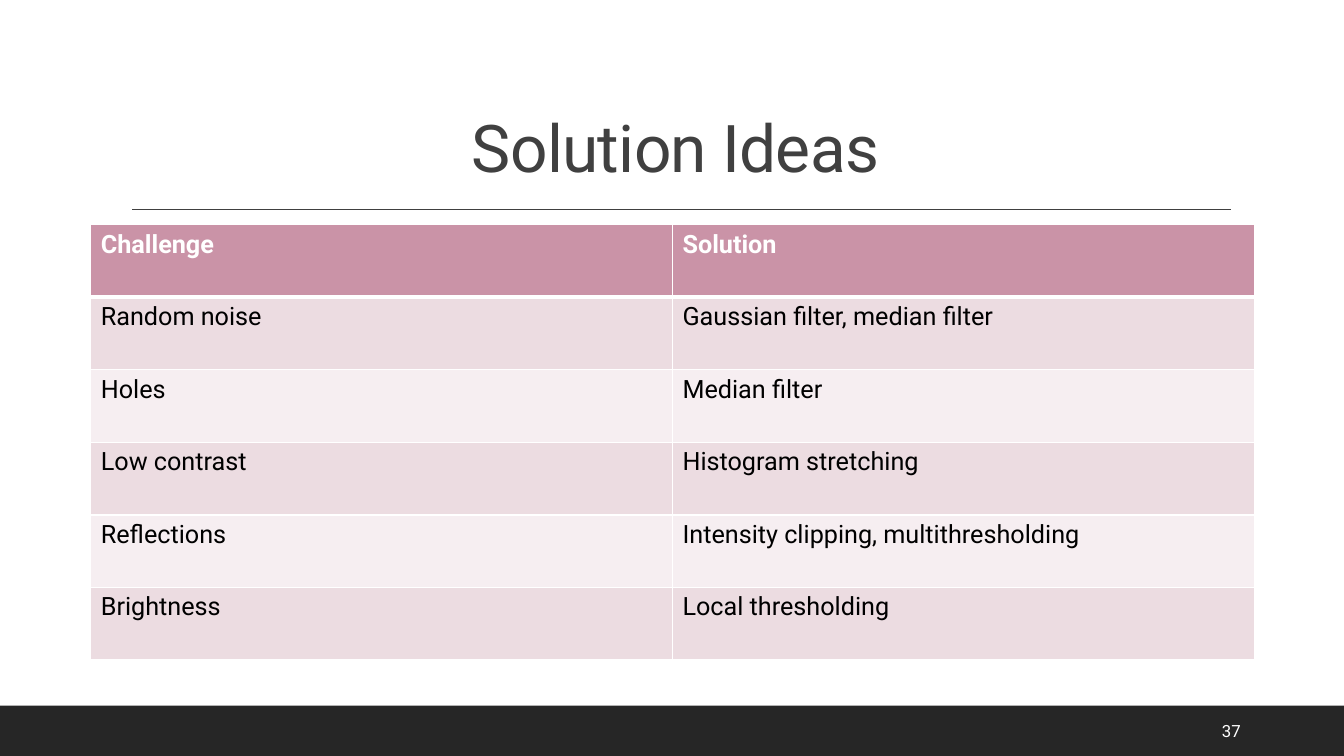
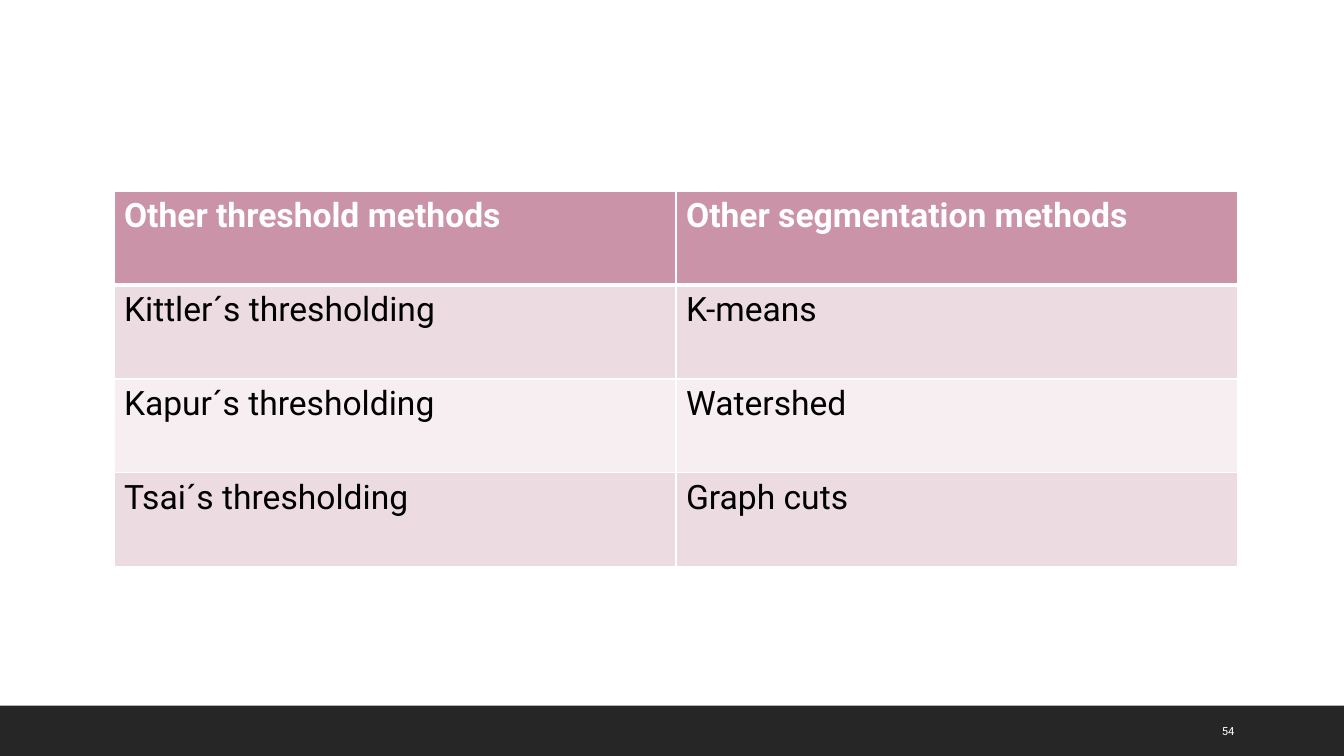
import dataclasses

import lxml.etree
import pptx
import pptx.dml.color
import pptx.enum.shapes
import pptx.enum.text
import pptx.oxml.ns
import pptx.util

Inches = pptx.util.Inches
Anchor = pptx.enum.text.MSO_ANCHOR
Align = pptx.enum.text.PP_ALIGN
TITLE_ONLY, BLANK = 5, 6


def rgb(code):
    return pptx.dml.color.RGBColor.from_string(code)


def add_xml(parent, tag, **attributes):
    return lxml.etree.SubElement(parent, pptx.oxml.ns.qn(tag), attributes)


def set_format(target, values):
    for name, value in values.items():
        setattr(target, name, value)


@dataclasses.dataclass(frozen=True)
class Theme:
    font: str = "Roboto"
    white: str = "FFFFFF"
    black: str = "000000"
    dark: str = "262626"
    grey: str = "404040"
    header: str = "CA93A7"
    stripes: tuple = ("ECDCE1", "F6EEF1")
    title_size: int = 47
    table_size: int = 18
    large_table_size: int = 24
    number_size: int = 12
    small_number_size: int = 8
    border: int = 1
    header_border: int = 3


class Slides:
    def __init__(self, theme):
        self.theme = theme
        self.deck = pptx.Presentation()
        self.deck.slide_width = Inches(13.33)
        self.deck.slide_height = Inches(7.5)
        self.page = None

    # Shared frame: dark footer band with the page number
    def start(self, layout, number, number_size):
        self.page = self.deck.slides.add_slide(self.deck.slide_layouts[layout])
        band = self.page.shapes.add_shape(
            pptx.enum.shapes.MSO_SHAPE.RECTANGLE,
            0, Inches(7), self.deck.slide_width, Inches(0.5))
        band.shadow.inherit = False
        band.fill.solid()
        band.fill.fore_color.rgb = rgb(self.theme.dark)
        band.line.fill.background()

        box = self.page.shapes.add_textbox(
            Inches(12.02), Inches(7.05), Inches(0.85), Inches(0.4))
        set_format(box.text_frame,
                   {"word_wrap": True, "vertical_anchor": Anchor.MIDDLE})
        self.add_text(box.text_frame, number, number_size, self.theme.white)

    def add_text(self, frame, text, size, color, bold=False):
        para = frame.paragraphs[0]
        span = para.add_run()
        span.text = text
        set_format(span.font, {"name": self.theme.font, "bold": bold,
                               "size": pptx.util.Pt(size)})
        span.font.color.rgb = rgb(color)
        return para, span

    # Title with the thin line below it
    def title(self, text):
        box = self.page.shapes.title
        set_format(box, {"left": Inches(1.2), "top": Inches(0.31),
                         "width": Inches(11), "height": Inches(1.59)})
        set_format(box.text_frame, {
            "word_wrap": True,
            "auto_size": pptx.enum.text.MSO_AUTO_SIZE.NONE,
            "vertical_anchor": Anchor.BOTTOM})
        para, span = self.add_text(box.text_frame, text,
                                   self.theme.title_size, self.theme.grey)
        set_format(para, {"alignment": Align.CENTER, "line_spacing": 0.9})
        span._r.get_or_add_rPr().set("spc", "-50")

        rule = self.page.shapes.add_connector(
            pptx.enum.shapes.MSO_CONNECTOR.STRAIGHT,
            Inches(1.31), Inches(2.08), Inches(12.21), Inches(2.08))
        rule.line.color.rgb = rgb(self.theme.grey)
        rule.line.width = pptx.util.Pt(1)
        add_xml(rule._element.spPr, "a:effectLst")

    # Striped table with a header row
    def table(self, rows, left, top, width, row_height, size):
        theme = self.theme
        table = self.page.shapes.add_table(
            len(rows), len(rows[0]), Inches(left), Inches(top),
            Inches(width), Inches(row_height * len(rows))).table
        table.horz_banding = False
        for index, texts in enumerate(rows):
            header = index == 0
            fill = theme.header if header else theme.stripes[(index - 1) % 2]
            color = theme.white if header else theme.black
            for column, text in enumerate(texts):
                cell = table.cell(index, column)
                self.borders(cell, index)
                cell.fill.solid()
                cell.fill.fore_color.rgb = rgb(fill)
                self.add_text(cell.text_frame, text, size, color, header)

    def borders(self, cell, row):
        widths = dict.fromkeys("LRTB", self.theme.border)
        if row < 2:
            widths["B" if row == 0 else "T"] = self.theme.header_border
        properties = cell._tc.get_or_add_tcPr()
        for side, width in widths.items():
            line = add_xml(properties, f"a:ln{side}",
                           w=str(pptx.util.Pt(width)))
            add_xml(add_xml(line, "a:solidFill"), "a:srgbClr",
                    val=self.theme.white)


def main():
    theme = Theme()
    slides = Slides(theme)

    # Challenges and solutions
    slides.start(TITLE_ONLY, "37", theme.number_size)
    slides.title("Solution Ideas")
    slides.table([
        ("Challenge", "Solution"),
        ("Random noise", "Gaussian filter, median filter"),
        ("Holes", "Median filter"),
        ("Low contrast", "Histogram stretching"),
        ("Reflections", "Intensity clipping, multithresholding"),
        ("Brightness", "Local thresholding"),
    ], 0.9, 2.23, 11.54, 0.72, theme.table_size)

    # Other methods
    slides.start(BLANK, "54", theme.small_number_size)
    slides.table([
        ("Other threshold methods", "Other segmentation methods"),
        ("Kittler´s thresholding", "K-means"),
        ("Kapur´s thresholding", "Watershed"),
        ("Tsai´s thresholding", "Graph cuts"),
    ], 1.13, 1.9, 11.15, 0.93, theme.large_table_size)

    slides.deck.save("out.pptx")


if __name__ == "__main__":
    main()
